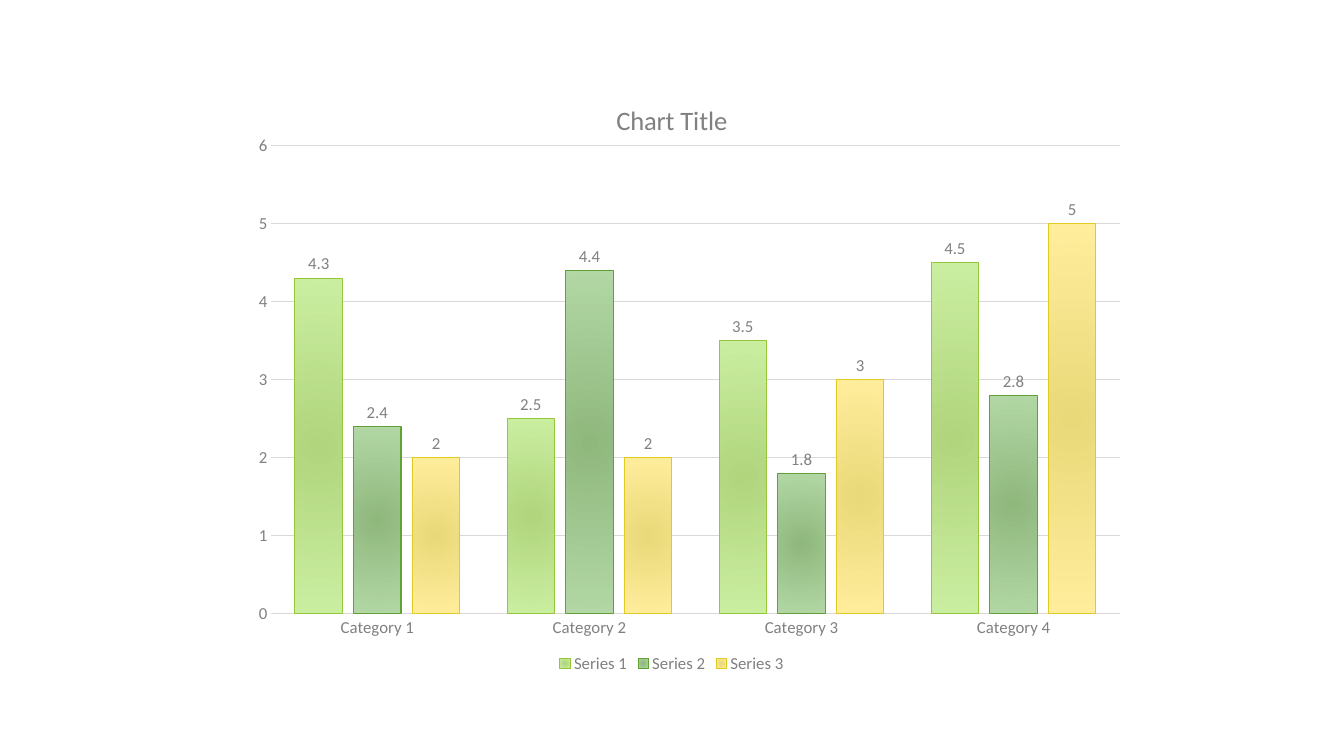
from dataclasses import dataclass

from pptx import Presentation
from pptx.chart.data import CategoryChartData
from pptx.dml.color import RGBColor
from pptx.enum.chart import (
    XL_CHART_TYPE as ChartType,
    XL_LABEL_POSITION as LabelPosition,
    XL_LEGEND_POSITION as LegendPosition,
    XL_TICK_MARK as TickMark,
)
from pptx.oxml import parse_xml
from pptx.oxml.ns import nsdecls, qn
from pptx.util import Inches, Pt


@dataclass(frozen=True)
class Theme:
    """Colours, font and type sizes of the slide."""
    font: str = "Calibri"
    text: str = "808080"
    grid: str = "D9D9D9"
    title_size: float = 19
    label_size: float = 12
    line_width: float = 0.75
    series: tuple = (
        ("B0D57D", "CAEEA0", "96C737"),
        ("8FB87D", "B2D7A4", "61A136"),
        ("EAD979", "FFED9C", "E1CB23"),
    )


THEME = Theme()
CATEGORIES = [f"Category {number}" for number in range(1, 5)]
SERIES_VALUES = {
    "Series 1": (4.3, 2.5, 3.5, 4.5),
    "Series 2": (2.4, 4.4, 1.8, 2.8),
    "Series 3": (2, 2, 3, 5),
}
PLOT_BOX = {"x": 0.053, "y": 0.11, "w": 0.947, "h": 0.784}


def set_all(target, values):
    """Set each named value on the target."""
    for name, value in values.items():
        setattr(target, name, value)


def style_font(font, size=THEME.label_size):
    """Apply the theme font, size and text colour."""
    set_all(font, {"name": THEME.font, "size": Pt(size), "bold": False})
    font.color.rgb = RGBColor.from_string(THEME.text)


def style_line(line, colour):
    """Give a line its colour and the theme width."""
    line.color.rgb = RGBColor.from_string(colour)
    line.width = Pt(THEME.line_width)


def place_plot(chart, box):
    """Fix the inner plot area at fractions of the chart."""
    plot_area = chart.plots[0]._element.getparent()
    for layout in plot_area.findall(qn("c:layout")):
        plot_area.remove(layout)
    modes = "".join(f'<c:{side}Mode val="edge"/>' for side in "xy")
    sizes = "".join(f'<c:{side} val="{part}"/>' for side, part in box.items())
    plot_area.insert(0, parse_xml(
        f'<c:layout {nsdecls("c")}><c:manualLayout><c:layoutTarget val="inner"/>'
        f"{modes}{sizes}</c:manualLayout></c:layout>"))


def style_series(series, centre, edge, outline):
    """Fill columns with a circular gradient and label their values."""
    style_line(series.format.line, outline)
    stops = "".join(
        f'<a:gs pos="{position}"><a:srgbClr val="{colour}"/></a:gs>'
        for position, colour in ((0, centre), (100000, edge)))
    sides = " ".join(f'{side}="100000"' for side in "ltrb")
    series._element.get_or_add_spPr().insert(0, parse_xml(
        f'<a:gradFill {nsdecls("a")} rotWithShape="1"><a:gsLst>{stops}</a:gsLst>'
        f'<a:path path="circle"><a:fillToRect {sides}/></a:path></a:gradFill>'))
    series.invert_if_negative = False
    labels = series.data_labels
    set_all(labels, {"show_value": True, "position": LabelPosition.OUTSIDE_END})
    style_font(labels.font)


def style_axes(chart):
    """Style both axes and the horizontal gridlines."""
    category_axis, value_axis = chart.category_axis, chart.value_axis
    for axis in (category_axis, value_axis):
        set_all(axis, {"major_tick_mark": TickMark.NONE,
                       "minor_tick_mark": TickMark.NONE})
        style_font(axis.tick_labels.font)
    style_line(category_axis.format.line, THEME.grid)
    value_axis.format.line.fill.background()
    set_all(value_axis, {"minimum_scale": 0, "maximum_scale": 6,
                         "major_unit": 1, "has_major_gridlines": True})
    style_line(value_axis.major_gridlines.format.line, THEME.grid)


def add_column_chart(slide, left, top, width, height):
    """Place the clustered column chart in the given box."""
    data = CategoryChartData()
    data.categories = CATEGORIES
    for name, values in SERIES_VALUES.items():
        data.add_series(name, values)
    chart = slide.shapes.add_chart(
        ChartType.COLUMN_CLUSTERED, left, top, width, height, data).chart
    set_all(chart, {"has_title": True, "has_legend": True})
    title = chart.chart_title
    title.include_in_layout = False
    title.text_frame.text = "Chart Title"
    style_font(title.text_frame.paragraphs[0].runs[0].font, THEME.title_size)
    set_all(chart.legend, {"position": LegendPosition.BOTTOM,
                           "include_in_layout": False})
    style_font(chart.legend.font)
    columns = chart.plots[0]
    set_all(columns, {"gap_width": 100, "overlap": -24, "vary_by_categories": False})
    for series, colours in zip(columns.series, THEME.series):
        style_series(series, *colours)
    style_axes(chart)
    place_plot(chart, PLOT_BOX)


def main():
    """Build and save the slide."""
    deck = Presentation()
    set_all(deck, {"slide_width": Inches(13.33), "slide_height": Inches(7.5)})
    slide = deck.slides.add_slide(deck.slide_layouts[6])
    add_column_chart(slide, Inches(2.22), Inches(0.79), Inches(8.89), Inches(5.93))
    deck.save("out.pptx")


if __name__ == "__main__":
    main()
